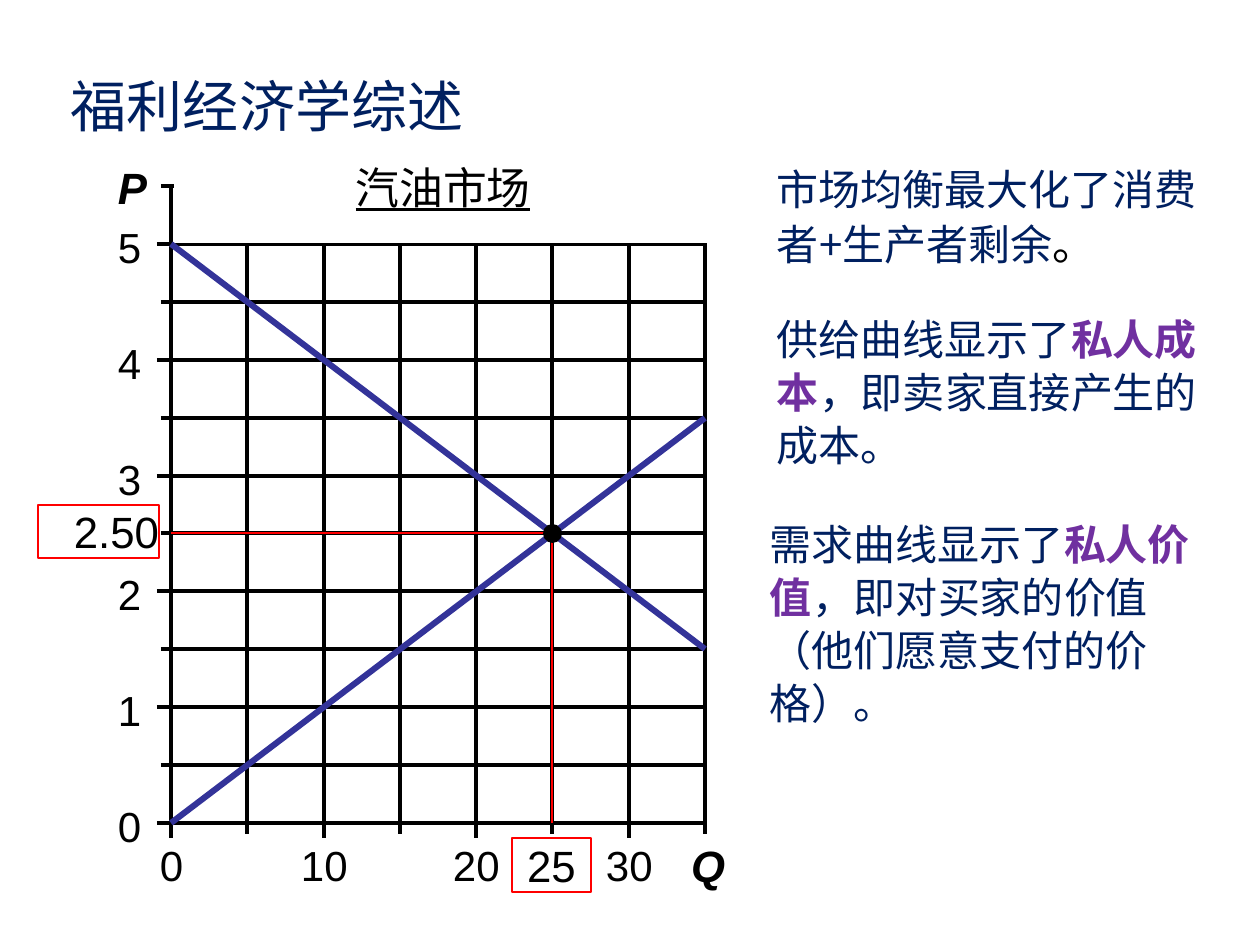
from lxml import etree
from pptx import Presentation
from pptx.dml.color import RGBColor
from pptx.enum.shapes import MSO_CONNECTOR, MSO_SHAPE
from pptx.enum.text import MSO_ANCHOR, PP_ALIGN
from pptx.oxml.ns import qn
from pptx.util import Emu, Pt

STRAIGHT = MSO_CONNECTOR.STRAIGHT
RECTANGLE, OVAL = MSO_SHAPE.RECTANGLE, MSO_SHAPE.OVAL
LEFT, CENTER, RIGHT = PP_ALIGN.LEFT, PP_ALIGN.CENTER, PP_ALIGN.RIGHT
TOP, MIDDLE = MSO_ANCHOR.TOP, MSO_ANCHOR.MIDDLE
EMU_PER_PX = 914400 / 126
CHINESE, ARIAL = "Noto Sans CJK SC", "Arial"
BLACK, WHITE, RED = "000000", "FFFFFF", "FF0000"
NAVY, PURPLE, CURVE = "002060", "7030A0", "333399"

PLOT_LEFT, PLOT_RIGHT, PLOT_TOP, PLOT_BOTTOM = 171, 705, 186, 823
MAX_QUANTITY, MAX_PRICE = 35, 5.5
QUANTITY_STEP, PRICE_STEP = 5, 0.5
EQUILIBRIUM_QUANTITY, EQUILIBRIUM_PRICE = 25, 2.5


def px(length):
    return Emu(round(length * EMU_PER_PX))


def color(value):
    return RGBColor.from_string(value)


def x_of(quantity):
    return round(PLOT_LEFT + (PLOT_RIGHT - PLOT_LEFT) * quantity / MAX_QUANTITY)


def y_of(price):
    return round(PLOT_BOTTOM - (PLOT_BOTTOM - PLOT_TOP) * price / MAX_PRICE)


def write(paragraph, text, size=24, font=ARIAL, fill=BLACK,
          bold=False, italic=False, underline=False):
    run = paragraph.add_run()
    run.text = text
    run.font.size = Pt(size)
    run.font.name = font
    run.font.color.rgb = color(fill)
    run.font.bold = bold
    run.font.italic = italic
    run.font.underline = underline
    latin = run.font._element.find(qn("a:latin"))
    east_asian = etree.Element(qn("a:ea"), typeface=font)
    latin.addnext(east_asian)


def set_frame(shape, align=LEFT, anchor=TOP, margins=(0, 0, 0, 0), wrap=True):
    frame = shape.text_frame
    frame.word_wrap = wrap
    frame.vertical_anchor = anchor
    (frame.margin_left, frame.margin_top,
     frame.margin_right, frame.margin_bottom) = map(px, margins)
    paragraph = frame.paragraphs[0]
    paragraph.alignment = align
    return paragraph


def add_line(slide, start, end, stroke=BLACK, width=2):
    line = slide.shapes.add_connector(STRAIGHT, *map(px, start + end))
    line.line.color.rgb = color(stroke)
    line.line.width = Pt(width)
    etree.SubElement(line._element.spPr, qn("a:effectLst"))


def add_shape(slide, kind, box, fill=None, stroke=None, width=0.75):
    shape = slide.shapes.add_shape(kind, *map(px, box))
    shape.shadow.inherit = False
    if fill:
        shape.fill.solid()
        shape.fill.fore_color.rgb = color(fill)
    else:
        shape.fill.background()
    if stroke:
        shape.line.color.rgb = color(stroke)
        shape.line.width = Pt(width)
    else:
        shape.line.fill.background()
    return shape


def add_label(slide, text, box, align=LEFT, margins=(0, 0, 0, 0), wrap=False, **style):
    label = slide.shapes.add_textbox(*map(px, box))
    write(set_frame(label, align, margins=margins, wrap=wrap), text, **style)


def add_note(slide, box, runs):
    note = slide.shapes.add_textbox(*map(px, box))
    paragraph = set_frame(note, margins=(13, 6, 13, 6))
    paragraph.line_spacing = 1.05
    for text, style in runs:
        write(paragraph, text, **style)


def add_title(slide, text):
    title = slide.shapes.title
    title.left, title.top, title.width, title.height = map(px, (58, 73, 684, 64))
    paragraph = set_frame(title, anchor=MIDDLE, margins=(13, 6, 13, 6))
    write(paragraph, text, size=32, font=CHINESE, fill=NAVY)


def add_grid(slide):
    prices = [step * PRICE_STEP for step in range(round(MAX_PRICE / PRICE_STEP) + 1)]
    quantities = range(0, MAX_QUANTITY + 1, QUANTITY_STEP)
    for price in prices[1:]:
        add_line(slide, (PLOT_LEFT, y_of(price)), (PLOT_RIGHT, y_of(price)), width=0)
    for quantity in quantities[1:]:
        add_line(slide, (x_of(quantity), PLOT_TOP), (x_of(quantity), PLOT_BOTTOM), width=0)
    add_shape(slide, RECTANGLE, (PLOT_LEFT, PLOT_TOP, PLOT_RIGHT - PLOT_LEFT,
                                 PLOT_BOTTOM - PLOT_TOP), stroke=BLACK, width=1)

    add_line(slide, (PLOT_LEFT, PLOT_TOP), (PLOT_LEFT, PLOT_BOTTOM))
    add_line(slide, (PLOT_LEFT, PLOT_BOTTOM), (PLOT_RIGHT, PLOT_BOTTOM))
    for price in prices:
        major = price % 1 == 0
        y = y_of(price)
        add_line(slide, (PLOT_LEFT - (14 if major else 10), y), (PLOT_LEFT, y))
        if major:
            add_label(slide, f"{price:.0f}", (118, y - 22, 24, 50))
    for quantity in quantities:
        major = quantity % 10 == 0
        x = x_of(quantity)
        add_line(slide, (x, PLOT_BOTTOM + (15 if major else 11)), (x, PLOT_BOTTOM))
        if major:
            width = 24 * len(str(quantity))
            add_label(slide, str(quantity), (x - width // 2 + 1, 840, width, 50))


def add_axis_names(slide):
    name_style = dict(align=RIGHT, wrap=True, size=25, bold=True, italic=True)
    add_label(slide, "Q", (543, 833, 207, 116), margins=(13, 6, 25, 6), **name_style)
    add_label(slide, "P", (102, 155, 58, 66), margins=(13, 6, 13, 6), **name_style)
    heading = add_shape(slide, RECTANGLE, (174, 155, 538, 88), fill=WHITE)
    paragraph = set_frame(heading, CENTER, margins=(13, 6, 13, 6))
    write(paragraph, "汽油市场", size=25, underline=True)


def add_curves(slide):
    for start_price, end_price in ((0, 3.5), (5, 1.5)):
        add_line(slide, (PLOT_LEFT, y_of(start_price)),
                 (PLOT_RIGHT, y_of(end_price)), CURVE, 3.5)


def add_equilibrium(slide):
    x, y = x_of(EQUILIBRIUM_QUANTITY), y_of(EQUILIBRIUM_PRICE)
    for text, box, align in (
        (f"{EQUILIBRIUM_PRICE:.2f}", (38, 505, 121, 53), RIGHT),
        (str(EQUILIBRIUM_QUANTITY), (512, 838, 79, 54), CENTER),
    ):
        value_box = add_shape(slide, RECTANGLE, box, stroke=RED)
        write(set_frame(value_box, align, MIDDLE), text, size=25)
    add_line(slide, (PLOT_LEFT, y), (x, y), RED, 1.5)
    add_line(slide, (x, y), (x, PLOT_BOTTOM), RED, 1.5)
    add_shape(slide, OVAL, (x - 9, y - 9, 19, 19), fill=BLACK)


def main():
    presentation = Presentation()
    presentation.slide_width, presentation.slide_height = px(1260), px(945)
    slide = presentation.slides.add_slide(presentation.slide_layouts[5])

    add_title(slide, "福利经济学综述")
    add_grid(slide)
    add_axis_names(slide)
    add_curves(slide)
    add_equilibrium(slide)

    plain = dict(font=CHINESE, fill=NAVY)
    term = dict(font=CHINESE, fill=PURPLE, bold=True)
    add_note(slide, (764, 155, 450, 120),
             [("市场均衡最大化了消费者+生产者剩余", plain), ("。", dict(size=25))])
    add_note(slide, (764, 305, 450, 170),
             [("供给曲线显示了", plain), ("私人成本", term),
              ("，即卖家直接产生的成本。", plain)])
    add_note(slide, (757, 510, 450, 223),
             [("需求曲线显示了", plain), ("私人价值", term),
              ("，即对买家的价值（他们愿意支付的价格）。", plain)])

    presentation.save("out.pptx")


if __name__ == "__main__":
    main()
